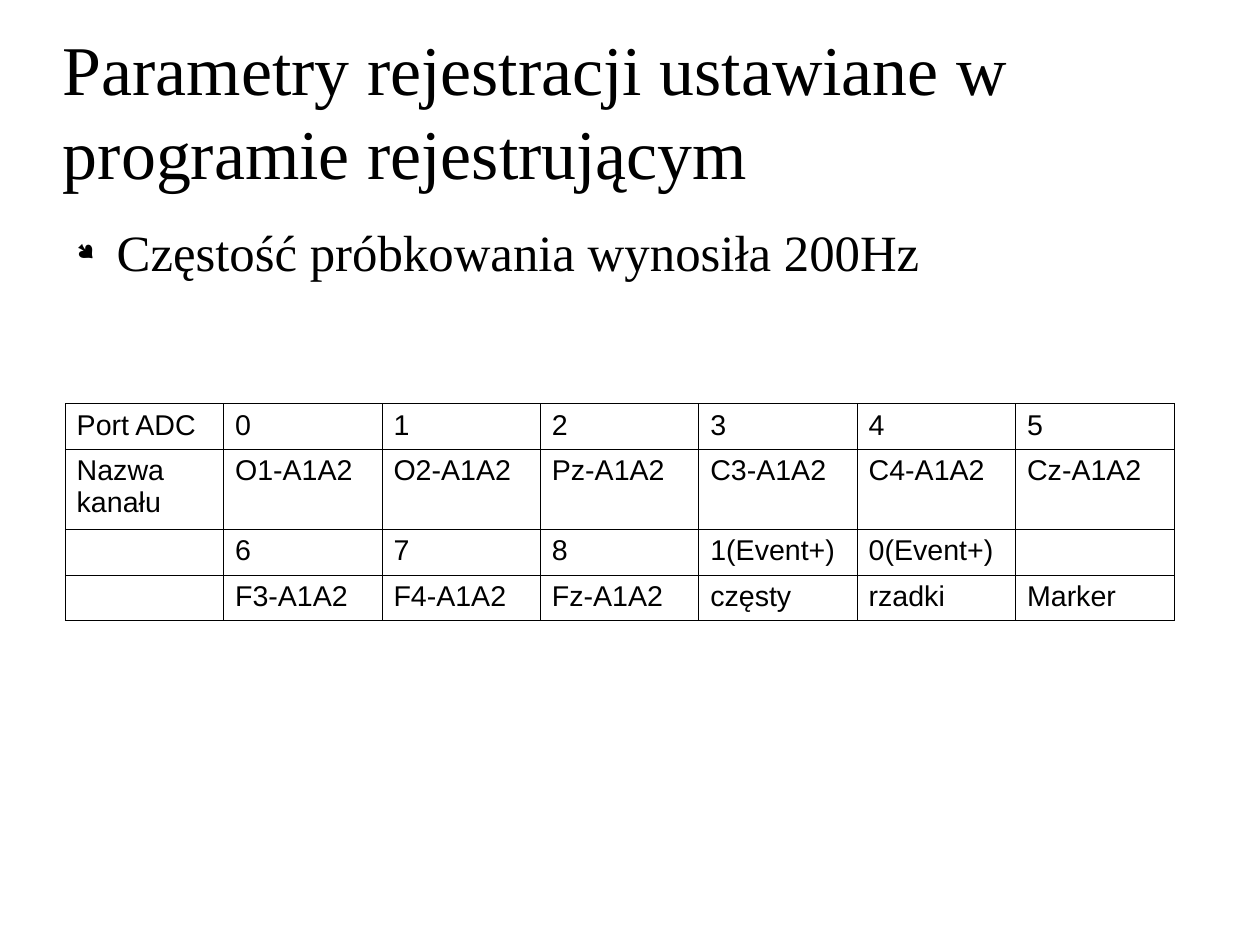
import pptx
import pptx.dml.color
import pptx.enum.text
import pptx.oxml
import pptx.util
from pptx.oxml.ns import nsdecls

# Slide of 28 by 21 centimetres
SLIDE_SIZE = {"slide_width": pptx.util.Cm(28), "slide_height": pptx.util.Cm(21)}
WIDTH = SLIDE_SIZE["slide_width"].inches
HEIGHT = SLIDE_SIZE["slide_height"].inches
THEME = {
    "ink": "000000",
    "title": {"name": "Times New Roman", "size": pptx.util.Pt(44)},
    "body": {"name": "Times New Roman", "size": pptx.util.Pt(32)},
    "cell": {"name": "Arial", "size": pptx.util.Pt(18)},
    "bullet": "Wingdings",
    "border": pptx.util.Pt(0.57),
}
TITLE = "Parametry rejestracji ustawiane w programie rejestrującym"
BULLET = "Częstość próbkowania wynosiła 200Hz"
CHANNELS = [
    ["Port ADC", "0", "1", "2", "3", "4", "5"],
    ["Nazwa\nkanału", "O1-A1A2", "O2-A1A2", "Pz-A1A2", "C3-A1A2", "C4-A1A2", "Cz-A1A2"],
    ["", "6", "7", "8", "1(Event+)", "0(Event+)", ""],
    ["", "F3-A1A2", "F4-A1A2", "Fz-A1A2", "częsty", "rzadki", "Marker"],
]
ROW_HEIGHT = 0.38


def inches(*lengths):
    return [pptx.util.Inches(length) for length in lengths]


def set_values(target, values):
    for name, value in values.items():
        setattr(target, name, value)


def style_font(font, role):
    set_values(font, THEME[role])
    font.color.rgb = pptx.dml.color.RGBColor.from_string(THEME["ink"])


def add_text(slide, box, text, role, anchor):
    """Place one paragraph in a box without insets."""
    frame = slide.shapes.add_textbox(*inches(*box)).text_frame
    set_values(frame, {
        "word_wrap": True, "vertical_anchor": anchor,
        "margin_left": 0, "margin_top": 0, "margin_right": 0, "margin_bottom": 0,
    })
    run = frame.paragraphs[0].add_run()
    run.text = text
    style_font(run.font, role)
    return frame


def add_title(slide, box):
    frame = add_text(slide, box, TITLE, "title", pptx.enum.text.MSO_ANCHOR.MIDDLE)
    frame.auto_size = pptx.enum.text.MSO_AUTO_SIZE.SHAPE_TO_FIT_TEXT


def add_bullet(slide, box):
    frame = add_text(slide, box, BULLET, "body", pptx.enum.text.MSO_ANCHOR.TOP)
    paragraph = frame.paragraphs[0]
    paragraph.space_after = pptx.util.Pt(14.2)
    properties = paragraph._p.get_or_add_pPr()
    margin, indent = inches(0.47, -0.35)
    properties.set("marL", str(margin))
    properties.set("indent", str(indent))
    for markup in (
        f'<a:buClr {nsdecls("a")}><a:srgbClr val="{THEME["ink"]}"/></a:buClr>',
        f'<a:buSzPct {nsdecls("a")} val="45000"/>',
        f'<a:buFont {nsdecls("a")} typeface="{THEME["bullet"]}" charset="2"/>',
        f'<a:buChar {nsdecls("a")} char="●"/>',
    ):
        properties.append(pptx.oxml.parse_xml(markup))


def add_borders(cell):
    properties = cell._tc.get_or_add_tcPr()
    for position, side in enumerate(("lnL", "lnR", "lnT", "lnB")):
        properties.insert(position, pptx.oxml.parse_xml(
            f'<a:{side} {nsdecls("a")} w="{THEME["border"]}"><a:solidFill>'
            f'<a:srgbClr val="{THEME["ink"]}"/></a:solidFill></a:{side}>'))


def add_channel_table(slide, box):
    """Equal columns and least row heights; the text stretches the rows."""
    left, top, width, height = inches(*box)
    columns = len(CHANNELS[0])
    graphic_frame = slide.shapes.add_table(len(CHANNELS), columns, left, top, width, height)
    table = graphic_frame.table
    set_values(table, {"first_row": False, "horz_banding": False})
    for row, texts in zip(table.rows, CHANNELS):
        row.height = pptx.util.Inches(ROW_HEIGHT)
        for cell, text in zip(row.cells, texts):
            cell.fill.background()
            add_borders(cell)
            cell.text = text
            for paragraph in cell.text_frame.paragraphs:
                for run in paragraph.runs:
                    style_font(run.font, "cell")
    graphic_frame.height = height


def main():
    presentation = pptx.Presentation()
    set_values(presentation, SLIDE_SIZE)
    slide = presentation.slides.add_slide(presentation.slide_layouts[6])
    margin = WIDTH * 0.05
    content = WIDTH * 0.88
    add_title(slide, (margin, 0.28, WIDTH * 0.765, 1.35))
    add_bullet(slide, (margin, 1.93, content, HEIGHT * 0.58))
    add_channel_table(slide, (margin + 0.02, 3.53, content, 1.81))
    presentation.save("out.pptx")


if __name__ == "__main__":
    main()
